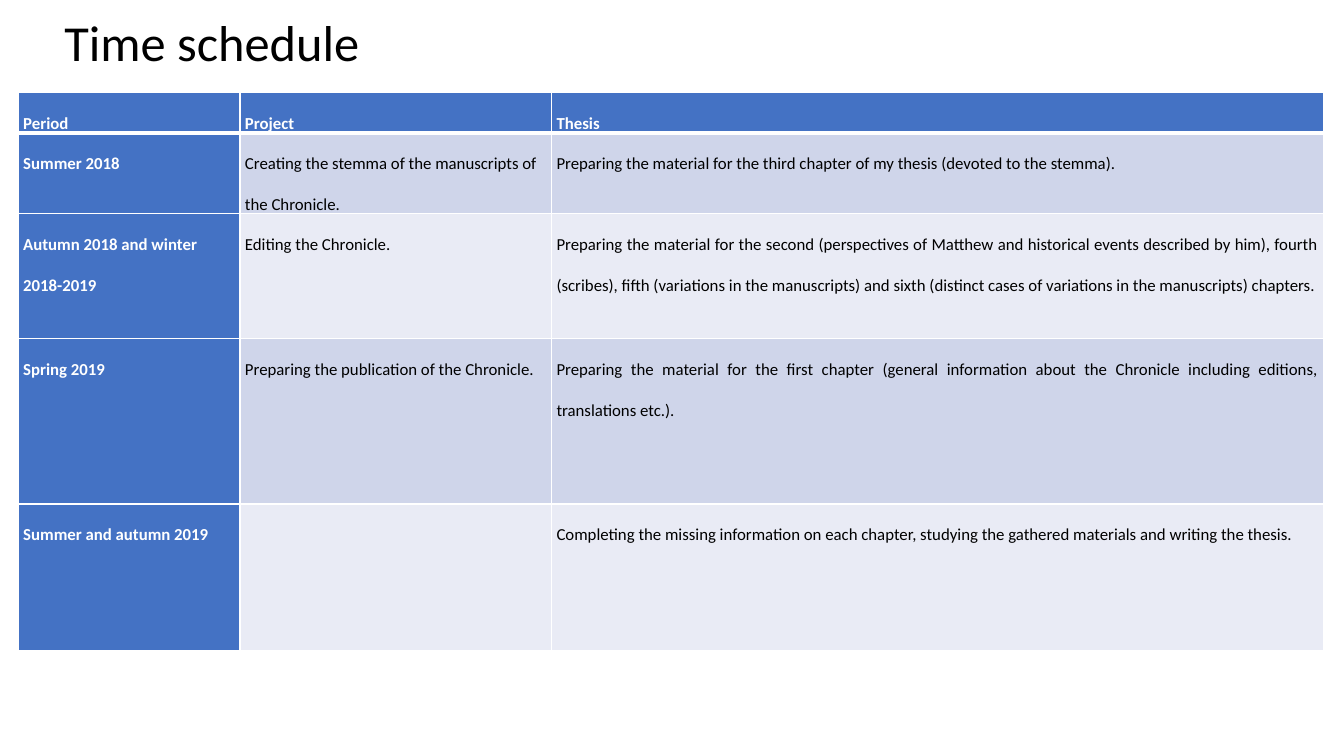
from lxml import etree
from pptx import Presentation
from pptx import util as u
from pptx.dml.color import RGBColor
from pptx.enum import text
from pptx.oxml.ns import qn

FONT = "Calibri"
COLORS = {
    "ink": "000000",
    "white": "FFFFFF",
    "blue": "4472C4",
    "band_dark": "CFD5EA",
    "band_light": "E9EBF5",
}
COLUMN_WIDTHS = [2.2, 3.09, 7.66]
ROW_HEIGHTS = [0.28, 0.73, 1.24, 1.64, 1.45]
SCHEDULE = [
    ("Period", "Project", "Thesis"),
    ("Summer 2018",
     "Creating the stemma of the manuscripts of the Chronicle.",
     "Preparing the material for the third chapter of my thesis (devoted to the stemma)."),
    ("Autumn 2018 and winter 2018-2019",
     "Editing the Chronicle.",
     "Preparing the material for the second (perspectives of Matthew and historical events "
     "described by him), fourth (scribes), fifth (variations in the manuscripts) and sixth "
     "(distinct cases of variations in the manuscripts) chapters."),
    ("Spring 2019",
     "Preparing the publication of the Chronicle.",
     "Preparing the material for the first chapter (general information about the Chronicle "
     "including editions, translations etc.)."),
    ("Summer and autumn 2019",
     "",
     "Completing the missing information on each chapter, studying the gathered materials "
     "and writing the thesis."),
]


def color(name):
    return RGBColor.from_string(COLORS[name])


def style_font(font, size, color_name, bold=False):
    font.name = FONT
    font.size = u.Pt(size)
    font.bold = bold
    font.color.rgb = color(color_name)


def add_title(page, left, top, width, height):
    box = page.shapes.add_textbox(*map(u.Inches, (left, top, width, height)))
    frame = box.text_frame
    frame.word_wrap = True
    frame.vertical_anchor = text.MSO_ANCHOR.MIDDLE
    frame.text = "Time schedule"
    para = frame.paragraphs[0]
    para.line_spacing = 0.9
    style_font(para.runs[0].font, 36, "ink")


def set_borders(cell, widths):
    """Draw white borders; widths maps each side (L, R, T, B) to points."""
    properties = cell._tc.get_or_add_tcPr()
    for side, width in widths.items():
        line = etree.SubElement(properties, qn(f"a:ln{side}"), w=str(u.Pt(width)))
        fill = etree.SubElement(line, qn("a:solidFill"))
        etree.SubElement(fill, qn("a:srgbClr"), val=COLORS["white"])


def fill_cell(cell, row, column, words):
    heading = row == 0 or column == 0
    # Thick rule between the header and the body
    set_borders(cell, {"L": 1, "R": 1, "T": 3 if row == 1 else 1, "B": 3 if row == 0 else 1})
    band = "band_dark" if row % 2 else "band_light"
    cell.fill.solid()
    cell.fill.fore_color.rgb = color("blue" if heading else band)

    cell.margin_left = cell.margin_right = u.Inches(0.05)
    cell.margin_top = cell.margin_bottom = 0
    cell.text_frame.text = words
    para = cell.text_frame.paragraphs[0]
    para.line_spacing = 2.0
    if column == 2:
        para.alignment = text.PP_ALIGN.JUSTIFY
    for span in para.runs:
        style_font(span.font, 12, "white" if heading else "ink", heading)


def add_schedule(page, left, top):
    size = (sum(COLUMN_WIDTHS), sum(ROW_HEIGHTS))
    frame = page.shapes.add_table(len(ROW_HEIGHTS), len(COLUMN_WIDTHS),
                                  *map(u.Inches, (left, top, *size)))
    table = frame.table
    table.first_col = True
    for column, width in zip(table.columns, COLUMN_WIDTHS):
        column.width = u.Inches(width)
    for row, height in zip(table.rows, ROW_HEIGHTS):
        row.height = u.Inches(height)
    for row, entries in enumerate(SCHEDULE):
        for column, words in enumerate(entries):
            fill_cell(table.cell(row, column), row, column, words)


def main():
    deck = Presentation()
    deck.slide_width, deck.slide_height = u.Inches(13.33), u.Inches(7.5)
    page = deck.slides.add_slide(deck.slide_layouts[6])
    add_title(page, 0.54, 0, 11.5, 0.9)
    add_schedule(page, 0.18, 0.92)
    deck.save("out.pptx")


if __name__ == "__main__":
    main()
